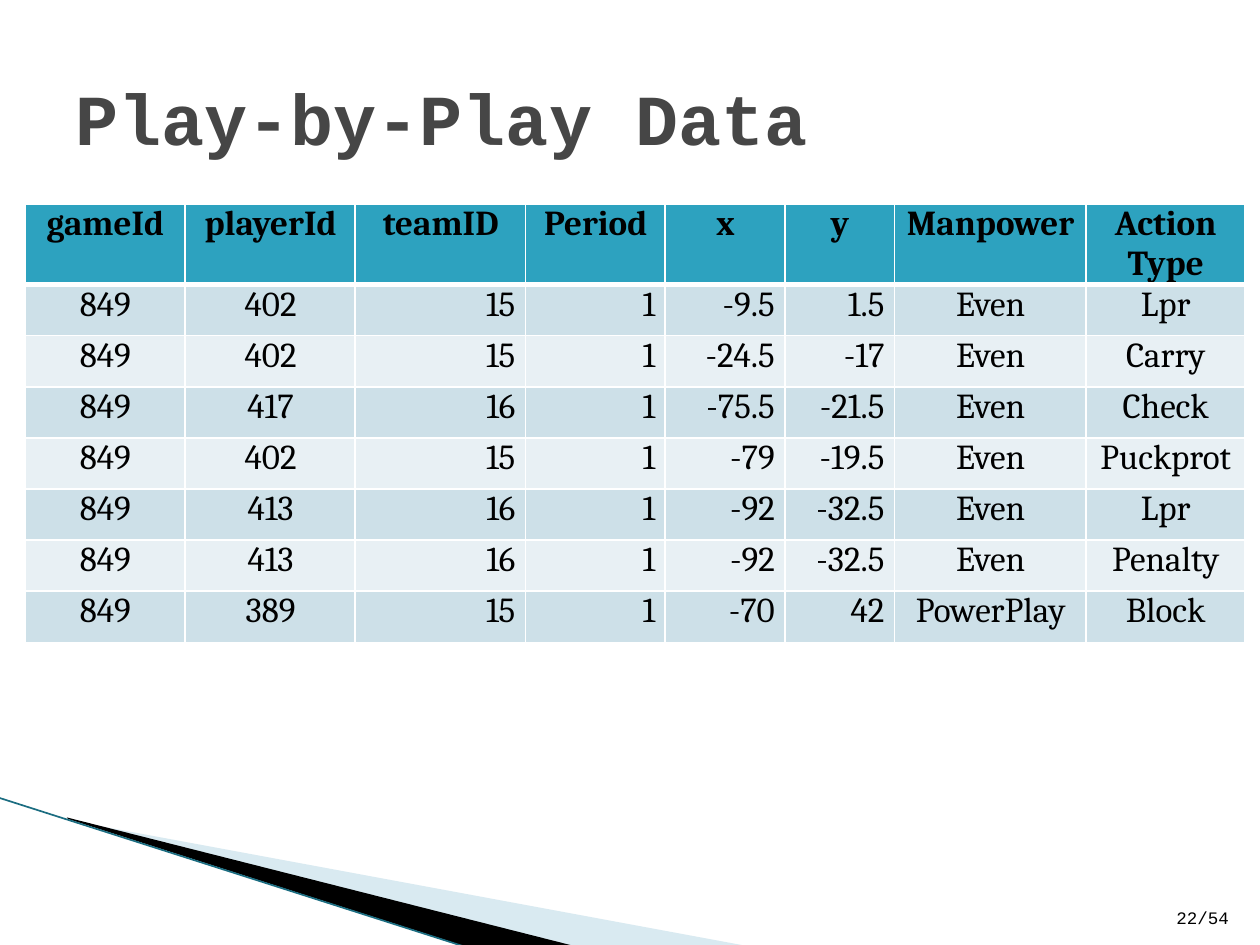
"""Build the play-by-play data slide."""
import lxml.etree
import pptx
import pptx.dml.color
import pptx.enum.shapes
import pptx.enum.text
import pptx.oxml.ns
import pptx.util

Cm = pptx.util.Cm
Pt = pptx.util.Pt
ALIGN = pptx.enum.text.PP_ALIGN
ANCHOR = pptx.enum.text.MSO_ANCHOR
qn = pptx.oxml.ns.qn

HEADINGS = ["gameId", "playerId", "teamID", "Period", "x", "y", "Manpower", "Action Type"]
EVENTS = [
    ["849", "402", "15", "1", "-9.5", "1.5", "Even", "Lpr"],
    ["849", "402", "15", "1", "-24.5", "-17", "Even", "Carry"],
    ["849", "417", "16", "1", "-75.5", "-21.5", "Even", "Check"],
    ["849", "402", "15", "1", "-79", "-19.5", "Even", "Puckprot"],
    ["849", "413", "16", "1", "-92", "-32.5", "Even", "Lpr"],
    ["849", "413", "16", "1", "-92", "-32.5", "Even", "Penalty"],
    ["849", "389", "15", "1", "-70", "42", "PowerPlay", "Block"],
]
COLUMN_WIDTHS = [3.23, 3.43, 3.43, 2.82, 2.41, 2.21, 3.86, 3.2]
NUMERIC_COLUMNS = range(2, 6)
ROW_HEIGHT = 1.03
HEADER_FILL = "2DA2BF"
BAND_FILLS = ["E8F0F4", "CDE0E8"]


def rgb(hex_colour):
    """Turn a hex string into a colour."""
    return pptx.dml.color.RGBColor.from_string(hex_colour)


def style_font(paragraph, name, size, colour, bold=False):
    """Set the font of a whole paragraph."""
    font = paragraph.font
    font.name, font.size, font.bold = name, Pt(size), bold
    font.color.rgb = rgb(colour)


def add_wedge(slide, corners, colour, opacity=100):
    """Draw a filled sliver through corners given in centimetres."""
    points = [(Cm(x), Cm(y)) for x, y in corners]
    outline = slide.shapes.build_freeform(*points[0])
    outline.add_line_segments(points[1:], close=True)
    wedge = outline.convert_to_shape()
    wedge.shadow.inherit = False
    wedge.line.fill.background()
    wedge.fill.solid()
    wedge.fill.fore_color.rgb = rgb(colour)
    if opacity < 100:
        tint = wedge.fill._xPr.find(".//" + qn("a:srgbClr"))
        lxml.etree.SubElement(tint, qn("a:alpha"), val=str(opacity * 1000))


def add_edge(slide, start, end, colour, width):
    """Draw a straight line between two points in centimetres."""
    edge = slide.shapes.add_connector(
        pptx.enum.shapes.MSO_CONNECTOR.STRAIGHT, *map(Cm, start + end))
    edge.line.color.rgb = rgb(colour)
    edge.line.width = Pt(width)
    lxml.etree.SubElement(edge._element.spPr, qn("a:effectLst"))


def set_borders(cell, top, bottom):
    """Give a cell white borders, with top and bottom widths in points."""
    properties = cell._tc.get_or_add_tcPr()
    for side, width in (("L", 1), ("R", 1), ("T", top), ("B", bottom)):
        border = lxml.etree.SubElement(properties, qn("a:ln" + side), w=str(Pt(width)))
        fill = lxml.etree.SubElement(border, qn("a:solidFill"))
        lxml.etree.SubElement(fill, qn("a:srgbClr"), val="FFFFFF")


def fill_cell(cell, row, column, text):
    """Write and format one table cell."""
    is_header = row == 0
    cell.margin_left = cell.margin_right = Cm(0.2)
    cell.margin_top = cell.margin_bottom = 0
    set_borders(cell, 3 if row == 1 else 1, 3 if is_header else 1)
    cell.fill.solid()
    cell.fill.fore_color.rgb = rgb(HEADER_FILL if is_header else BAND_FILLS[row % 2])
    cell.text = text
    entry = cell.text_frame.paragraphs[0]
    entry._p.get_or_add_pPr().set("marL", str(Cm(0.02)))
    right = column in NUMERIC_COLUMNS and not is_header
    entry.alignment = ALIGN.RIGHT if right else ALIGN.CENTER
    style_font(entry, "Cambria", 20, "000000", is_header)


def add_events_table(slide):
    """Add the table of game events."""
    records = [HEADINGS] + EVENTS
    height = Cm(8.92)
    frame = slide.shapes.add_table(
        len(records), len(HEADINGS), Cm(0.5), Cm(4.11), Cm(sum(COLUMN_WIDTHS)), height)
    events = frame.table
    for column, width in zip(events.columns, COLUMN_WIDTHS):
        column.width = Cm(width)
    for row, record in enumerate(records):
        events.rows[row].height = Cm(ROW_HEIGHT)
        for column, text in enumerate(record):
            fill_cell(events.cell(row, column), row, column, text)
    frame.height = height


def add_page_number(slide, text):
    """Add the page count at the lower right."""
    page = slide.shapes.add_textbox(Cm(23.29), Cm(17.81), Cm(1.73), Cm(1.02)).text_frame
    page.word_wrap = True
    page.vertical_anchor = ANCHOR.BOTTOM
    page.text = text
    page.paragraphs[0].alignment = ALIGN.RIGHT
    style_font(page.paragraphs[0], "Courier New", 10, "000000")


def set_title(slide, text):
    """Place and format the slide title."""
    title = slide.shapes.title
    title.left, title.top, title.width, title.height = Cm(1.27), Cm(0.76), Cm(22.86), Cm(3.18)
    title.text_frame.text = text
    title.text_frame.vertical_anchor = ANCHOR.MIDDLE
    heading = title.text_frame.paragraphs[0]
    heading.alignment = ALIGN.LEFT
    style_font(heading, "Courier New", 41, "464646", True)


def main():
    """Build and save the slide."""
    deck = pptx.Presentation()
    deck.slide_width, deck.slide_height = Cm(25.4), Cm(19.05)
    slide = deck.slides.add_slide(deck.slide_layouts[5])
    add_wedge(slide, [(1.4, 16.54), (15.11, 19.08), (11.58, 19.08), (1.4, 16.51)], "A0CBDC", 40)
    add_wedge(slide, [(1.35, 16.48), (11.61, 19.08), (9.45, 19.1), (1.37, 16.51)], "000000")
    add_edge(slide, (-0.03, 16.08), (9.42, 19.1), "1B6D81", 0.95)
    add_events_table(slide)
    add_page_number(slide, "22/54")
    set_title(slide, "Play-by-Play Data")
    deck.save("out.pptx")


if __name__ == "__main__":
    main()
